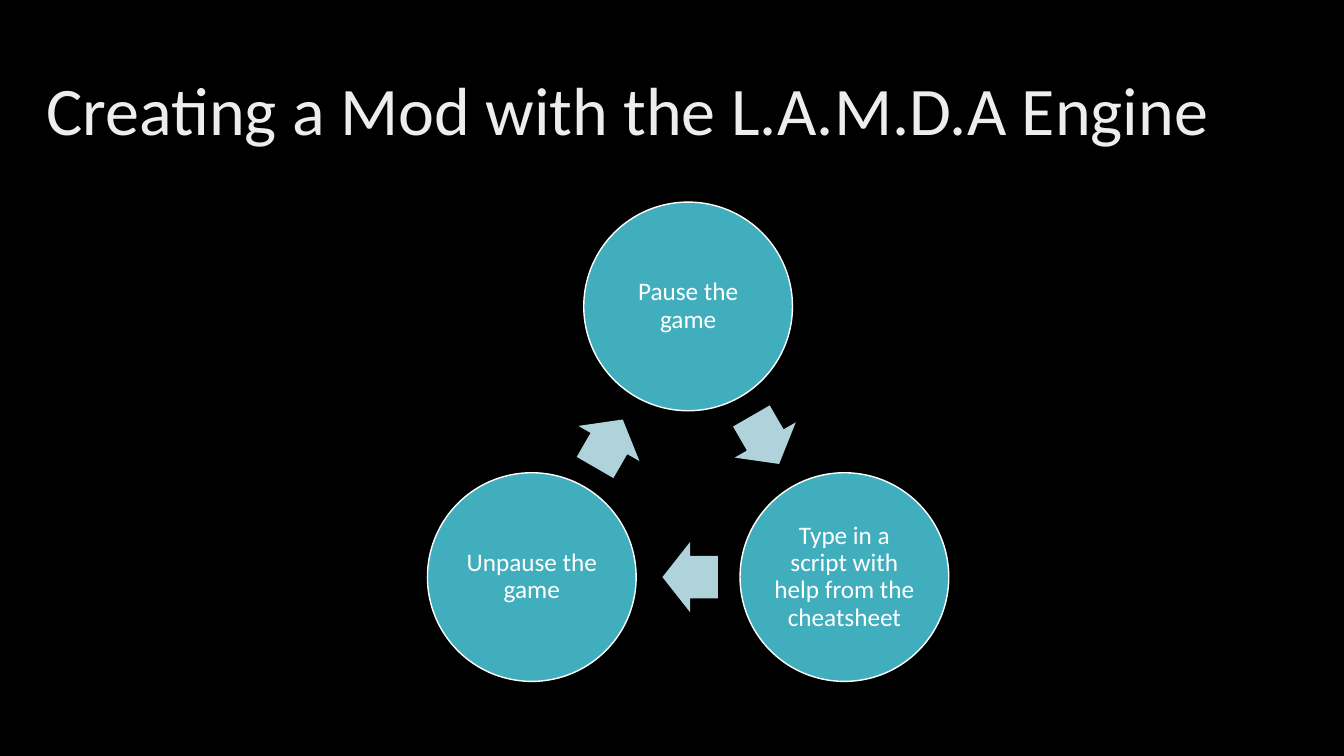
from math import cos, sin, radians
from pptx import Presentation
from pptx.dml.color import RGBColor
from pptx.enum.shapes import MSO_SHAPE as Kind
from pptx.enum.text import MSO_ANCHOR as Anchor, PP_ALIGN as Align
from pptx.util import Inches, Pt

TITLE = "Creating a Mod with the L.A.M.D.A Engine"
STEPS = [
    "Pause the game",
    "Type in a script with help from the cheatsheet",
    "Unpause the game",
]
FONT = "Calibri"
WIDE, HIGH = 13.33, 7.5
MID_X, MID_Y, RADIUS = 6.825, 4.83, 1.79
DISC = 2.07
ARROW = (0.55, 0.7)
BACK = 0.02
TURN = 360 / len(STEPS)


def paint(fill, code):
    fill.solid()
    fill.fore_color.rgb = RGBColor.from_string(code)


def style(par, size, code, align):
    par.alignment = align
    par.line_spacing = 0.9
    par.font.name = FONT
    par.font.size = Pt(size)
    paint(par.font.fill, code)


def place(slide, kind, x, y, w, h, code):
    shape = slide.shapes.add_shape(
        kind, Inches(x - w / 2), Inches(y - h / 2), Inches(w), Inches(h))
    shape.shadow.inherit = False
    paint(shape.fill, code)
    return shape


def spot(turn, far):
    angle = radians(turn - 90)
    return MID_X + far * cos(angle), MID_Y + far * sin(angle)


def add_step(slide, turn, text):
    disc = place(slide, Kind.OVAL, *spot(turn, RADIUS), DISC, DISC, "41AEBD")
    paint(disc.line.fill, "FFFFFF")
    disc.line.width = Pt(1)
    frame = disc.text_frame
    frame.word_wrap = True
    frame.vertical_anchor = Anchor.MIDDLE
    frame.margin_left = frame.margin_right = Inches(0.03)
    frame.margin_top = frame.margin_bottom = Inches(0.03)
    frame.text = text
    style(frame.paragraphs[0], 18, "FFFFFF", Align.CENTER)


def add_arrow(slide, turn):
    half = turn + TURN / 2
    x, y = spot(half, RADIUS * cos(radians(TURN / 2)))
    x -= BACK * cos(radians(half))
    y -= BACK * sin(radians(half))
    arrow = place(slide, Kind.RIGHT_ARROW, x, y, *ARROW, "B0D3DB")
    arrow.line.fill.background()
    arrow.adjustments[0] = 0.6
    arrow.adjustments[1] = 0.5
    arrow.rotation = half


def main():
    deck = Presentation()
    deck.slide_width, deck.slide_height = Inches(WIDE), Inches(HIGH)
    slide = deck.slides.add_slide(deck.slide_layouts[5])
    paint(slide.background.fill, "000000")
    title = slide.shapes.title
    title.left, title.top = Inches(0.36), Inches(0.4)
    title.width, title.height = Inches(12.62), Inches(1.45)
    title.text_frame.text = TITLE
    title.text_frame.vertical_anchor = Anchor.MIDDLE
    style(title.text_frame.paragraphs[0], 48.6, "EDEDED", Align.LEFT)
    for i, text in enumerate(STEPS):
        add_step(slide, i * TURN, text)
        add_arrow(slide, i * TURN)
    deck.save("out.pptx")


if __name__ == "__main__":
    main()
